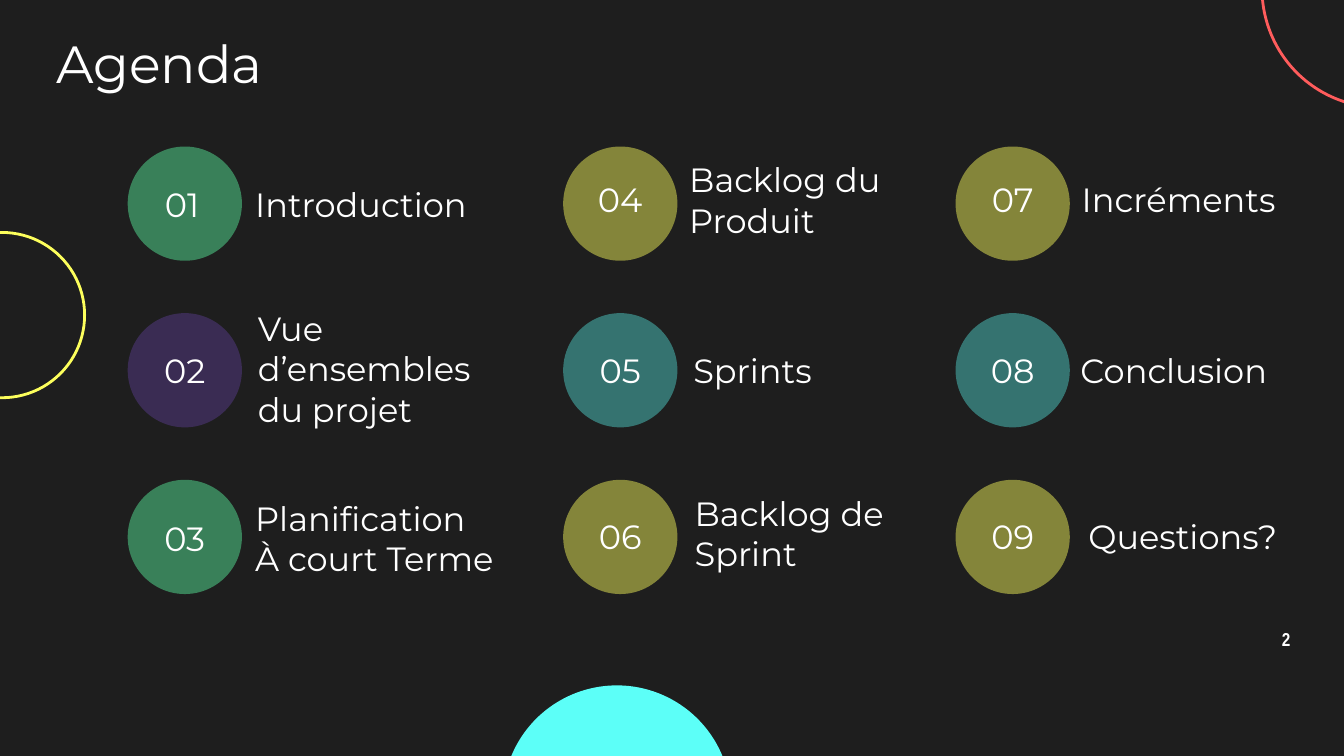
from typing import NamedTuple

from lxml.etree import SubElement
from pptx import Presentation
from pptx.dml.color import RGBColor
from pptx.enum.shapes import MSO_SHAPE as Shape
from pptx.enum.text import MSO_ANCHOR as Anchor, PP_ALIGN as Align
from pptx.oxml.ns import qn
from pptx.slide import Slide
from pptx.util import Inches, Pt

COLORS = {
    "background": "1E1E1E",
    "text": "FFFFFF",
    "yellow": "FDFF5C",
    "cyan": "5CFFF8",
    "green": "5CFFA6",
    "violet": "955CFF",
    "red": "FF5C5C",
}
OPACITY = {"green": 44, "violet": 24, "yellow": 46, "cyan": 38}
COLUMNS = (0.95, 4.19, 7.11)
FIRST_ROW, ROW_STEP, DIAMETER = 1.09, 1.24, 0.85
NUMBER_INSET, NUMBER_WIDTH, NUMBER_HEIGHT = 0.06, 0.73, 0.5
LABEL_WIDTH = 2.09


class Topic(NamedTuple):
    label: str
    color: str
    left: float
    top: float
    height: float
    number_top: float
    number_shift: float = 0


TOPICS = (
    Topic("Introduction", "green", 1.8, 1.31, 0.42, 1.27, -0.02),
    Topic("Vue d’ensembles du projet", "violet", 1.82, 2.19, 1.1, 2.5),
    Topic("Planification\nÀ court Terme", "green", 1.8, 3.58, 0.85, 3.75),
    Topic("Backlog du Produit", "yellow", 5.03, 1.06, 0.85, 1.23),
    Topic("Sprints", "cyan", 5.06, 2.54, 0.42, 2.5),
    Topic("Backlog de Sprint", "yellow", 5.07, 3.58, 0.77, 3.74),
    Topic("Incréments", "yellow", 7.95, 1.27, 0.42, 1.23),
    Topic("Conclusion", "cyan", 7.94, 2.54, 0.42, 2.5),
    Topic("Questions?", "yellow", 8, 3.78, 0.42, 3.74),
)


def rgb(name: str) -> RGBColor:
    """Return the named palette colour."""
    return RGBColor.from_string(COLORS[name])


def add_circle(page: Slide, left: float, top: float, diameter: float, *,
               fill: str = "", line: str = "", opacity: int = 100) -> None:
    """Draw a filled or outlined circle."""
    circle = page.shapes.add_shape(
        Shape.OVAL, Inches(left), Inches(top), Inches(diameter), Inches(diameter))
    circle.shadow.inherit = False
    if fill:
        circle.fill.solid()
        circle.fill.fore_color.rgb = rgb(fill)
        if opacity < 100:
            color = circle.fill._xPr.find(".//" + qn("a:srgbClr"))
            SubElement(color, qn("a:alpha"), val=str(opacity * 1000))
    else:
        circle.fill.background()
    if line:
        circle.line.color.rgb = rgb(line)
        circle.line.width = Pt(1.5)
    else:
        circle.line.fill.background()


def add_text(page: Slide, text: str, left: float, top: float, width: float,
             height: float, *, size: float = 18, font: str = "Montserrat",
             align: Align = Align.LEFT, bold: bool = False,
             spacing: float = 1.0) -> None:
    """Place vertically centred text, one paragraph per line."""
    box = page.shapes.add_textbox(
        Inches(left), Inches(top), Inches(width), Inches(height))
    frame = box.text_frame
    frame.word_wrap = True
    frame.vertical_anchor = Anchor.MIDDLE
    frame.margin_left = frame.margin_right = Inches(0.1)
    frame.margin_top = frame.margin_bottom = Inches(0.1)
    frame.text = text
    for para in frame.paragraphs:
        para.alignment = align
        para.line_spacing = spacing
        for span in para.runs:
            span.font.name = font
            span.font.size = Pt(size)
            span.font.bold = bold
            span.font.color.rgb = rgb("text")


def add_topic(page: Slide, index: int, topic: Topic) -> None:
    """Draw one agenda entry in its grid cell."""
    column, row = divmod(index, 3)
    left = COLUMNS[column]
    add_circle(page, left, FIRST_ROW + row * ROW_STEP, DIAMETER,
               fill=topic.color, opacity=OPACITY[topic.color])
    add_text(page, f"{index + 1:02}", left + NUMBER_INSET + topic.number_shift,
             topic.number_top, NUMBER_WIDTH, NUMBER_HEIGHT, align=Align.CENTER)
    add_text(page, topic.label, topic.left, topic.top, LABEL_WIDTH, topic.height)


def main() -> None:
    """Build and save the agenda slide."""
    deck = Presentation()
    deck.slide_width = Inches(10)
    deck.slide_height = Inches(10 * 9 / 16)
    page = deck.slides.add_slide(deck.slide_layouts[6])
    page.background.fill.solid()
    page.background.fill.fore_color.rgb = rgb("background")

    add_circle(page, -0.6, 1.73, 1.23, line="yellow")
    add_circle(page, 3.74, 5.1, 1.7, fill="cyan")
    add_circle(page, 9.39, -0.97, 1.77, line="red")
    add_text(page, "2", 9.27, 4.6, 0.6, 0.34, size=10, font="Arial Narrow",
             align=Align.CENTER, bold=True, spacing=0.8)
    add_text(page, "Agenda", 0.11, 0.21, 2.15, 0.51, size=28, align=Align.CENTER)
    for index, topic in enumerate(TOPICS):
        add_topic(page, index, topic)
    deck.save("out.pptx")


if __name__ == "__main__":
    main()
